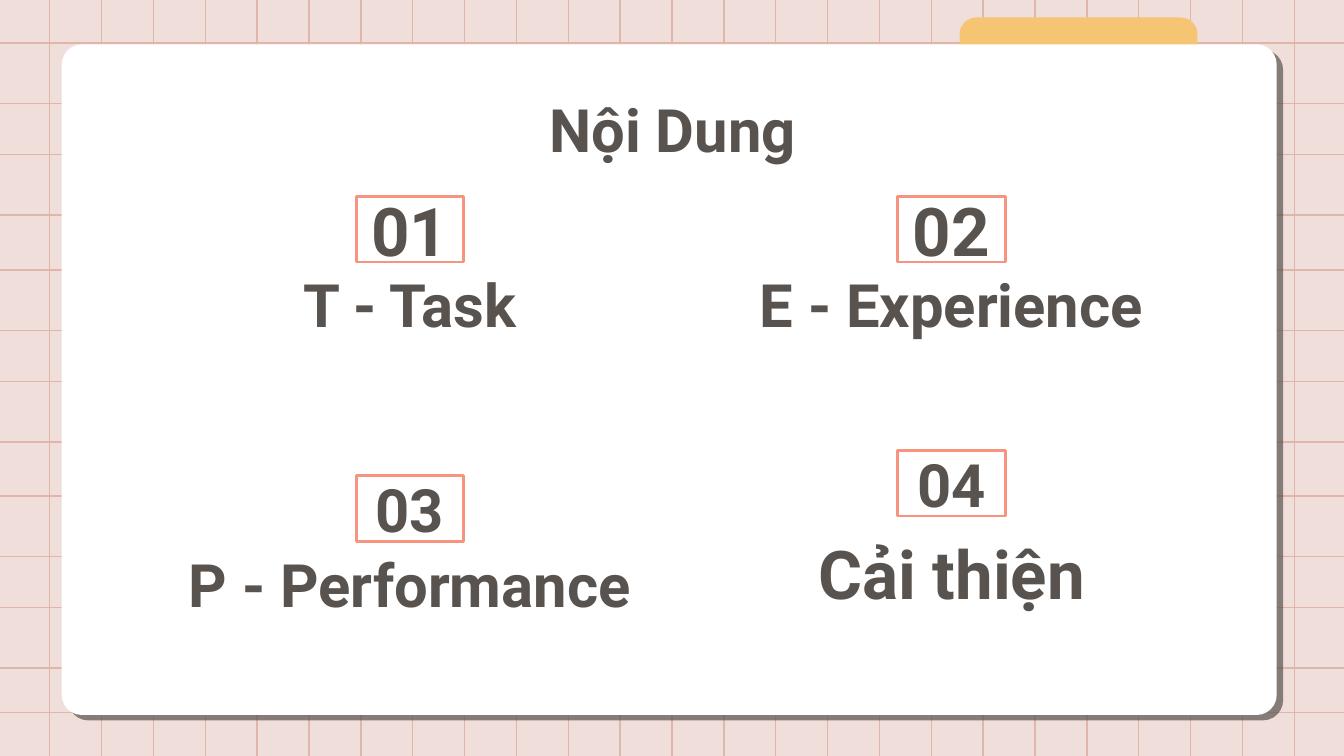
"""Builds the contents slide: a white card on a grid with four numbered topics."""
import lxml.etree
import pptx
import pptx.dml.color
import pptx.enum.shapes
import pptx.enum.text
import pptx.oxml.ns
import pptx.util
from pptx.util import Inches

SHAPE = pptx.enum.shapes.MSO_SHAPE
ANCHOR = pptx.enum.text.MSO_ANCHOR

THEME = {
    "font": "Roboto",
    "background": "F0DEDA",
    "grid": "E1B6AA",
    "tab": "F6C574",
    "card": "FFFFFF",
    "ink": "58534F",
    "frame": "F69480",
    "normal": 32,
    "large": 36,
    "grid_line": 0.75,
    "frame_line": 1.5,
}

SLIDE_SIZE = (10, 10 * 9 / 16)
TITLE = ("Nội Dung", (0.79, 0.59, 8.43, 0.63))
TOPICS = [
    {"number": "01", "label": "T - Task", "center": 3.05, "top": 1.46,
     "label_top": 2, "width": 2.52, "sizes": ("large", "normal")},
    {"number": "02", "label": "E - Experience", "center": 7.08, "top": 1.46,
     "label_top": 2, "width": 3.85, "sizes": ("large", "normal")},
    {"number": "03", "label": "P - Performance", "center": 3.05, "top": 3.54,
     "label_top": 4.08, "width": 4.22, "sizes": ("normal", "normal")},
    {"number": "04", "label": "Cải thiện", "center": 7.08, "top": 3.35,
     "label_top": 4.03, "width": 2.52, "sizes": ("normal", "large")},
]
NUMBER_SIZE = (0.8, 0.49)
LABEL_HEIGHT = 0.63

COLUMN_COUNT, FIRST_COLUMN, LAST_COLUMN = 25, 0.37, 9.63
COLUMN_BOTTOM = 5.65
ROW_LEFT, ROW_RIGHT = -0.01, 10.01
ROW_STARTS = (0.32, 2.01, 3.69)
ROW_OFFSETS = (0, 0.45, 0.83, 1.28)
LAST_ROW = 5.3


def color(name):
    return pptx.dml.color.RGBColor.from_string(THEME[name])


def add_effects(shape):
    tag = pptx.oxml.ns.qn("a:effectLst")
    return lxml.etree.SubElement(shape._element.spPr, tag)


def add_grid_line(slide, start, end):
    straight = pptx.enum.shapes.MSO_CONNECTOR.STRAIGHT
    line = slide.shapes.add_connector(straight, *map(Inches, start + end))
    line.line.color.rgb = color("grid")
    line.line.width = pptx.util.Pt(THEME["grid_line"])
    add_effects(line)


def add_grid(slide):
    step = (LAST_COLUMN - FIRST_COLUMN) / (COLUMN_COUNT - 1)
    for index in range(COLUMN_COUNT):
        left = FIRST_COLUMN + index * step
        add_grid_line(slide, (left, 0), (left, COLUMN_BOTTOM))
    rows = [start + offset for start in ROW_STARTS for offset in ROW_OFFSETS]
    for top in rows + [LAST_ROW]:
        add_grid_line(slide, (ROW_LEFT, top), (ROW_RIGHT, top))


def add_panel(slide, kind, place, fill, adjustment):
    panel = slide.shapes.add_shape(kind, *map(Inches, place))
    panel.adjustments[0] = adjustment
    panel.fill.solid()
    panel.fill.fore_color.rgb = color(fill)
    panel.line.fill.background()
    panel.shadow.inherit = False
    return panel


def add_card_shadow(card):
    qn = pptx.oxml.ns.qn
    effects = card._element.spPr.find(qn("a:effectLst"))
    shadow = lxml.etree.SubElement(
        effects, qn("a:outerShdw"), blurRad="0", dist=str(pptx.util.Pt(4.5)),
        dir=str(40 * 60000), algn="bl", rotWithShape="0")
    tint = lxml.etree.SubElement(shadow, qn("a:srgbClr"), val=THEME["ink"])
    lxml.etree.SubElement(tint, qn("a:alpha"), val="70000")


def write(shape, text, size, anchor, spacing=1.0):
    frame = shape.text_frame
    frame.text = text
    frame.word_wrap = True
    frame.auto_size = pptx.enum.text.MSO_AUTO_SIZE.NONE
    frame.vertical_anchor = anchor
    frame.margin_left = frame.margin_right = Inches(0.1)
    frame.margin_top = frame.margin_bottom = Inches(0.1)
    para = frame.paragraphs[0]
    para.alignment = pptx.enum.text.PP_ALIGN.CENTER
    para.line_spacing = spacing
    font = para.runs[0].font
    font.name = THEME["font"]
    font.size = pptx.util.Pt(THEME[size])
    font.bold = True
    font.color.rgb = color("ink")


def add_title(slide):
    text, place = TITLE
    title = slide.shapes.title
    title.left, title.top, title.width, title.height = map(Inches, place)
    write(title, text, "normal", ANCHOR.TOP)
    slide.shapes._spTree.append(title._element)


def add_topic(slide, topic):
    number_size, label_size = topic["sizes"]
    width, height = NUMBER_SIZE
    place = (topic["center"] - width / 2, topic["top"], width, height)
    number = slide.shapes.add_shape(SHAPE.RECTANGLE, *map(Inches, place))
    number.fill.background()
    number.line.color.rgb = color("frame")
    number.line.width = pptx.util.Pt(THEME["frame_line"])
    number.shadow.inherit = False
    write(number, topic["number"], number_size, ANCHOR.MIDDLE)

    place = (topic["center"] - topic["width"] / 2, topic["label_top"],
             topic["width"], LABEL_HEIGHT)
    label = slide.shapes.add_textbox(*map(Inches, place))
    write(label, topic["label"], label_size, ANCHOR.BOTTOM, 1.15)


def main():
    deck = pptx.Presentation()
    deck.slide_width, deck.slide_height = map(Inches, SLIDE_SIZE)
    slide = deck.slides.add_slide(deck.slide_layouts.get_by_name("Title Only"))
    slide.background.fill.solid()
    slide.background.fill.fore_color.rgb = color("background")
    add_grid(slide)
    add_panel(slide, SHAPE.ROUND_2_SAME_RECTANGLE,
              (7.14, 0.13, 1.77, 0.25), "tab", 0.5)
    card = add_panel(slide, SHAPE.ROUNDED_RECTANGLE,
                     (0.46, 0.33, 9.04, 4.99), "card", 0.03)
    add_card_shadow(card)
    add_title(slide)
    for topic in TOPICS:
        add_topic(slide, topic)
    deck.save("out.pptx")


if __name__ == "__main__":
    main()
